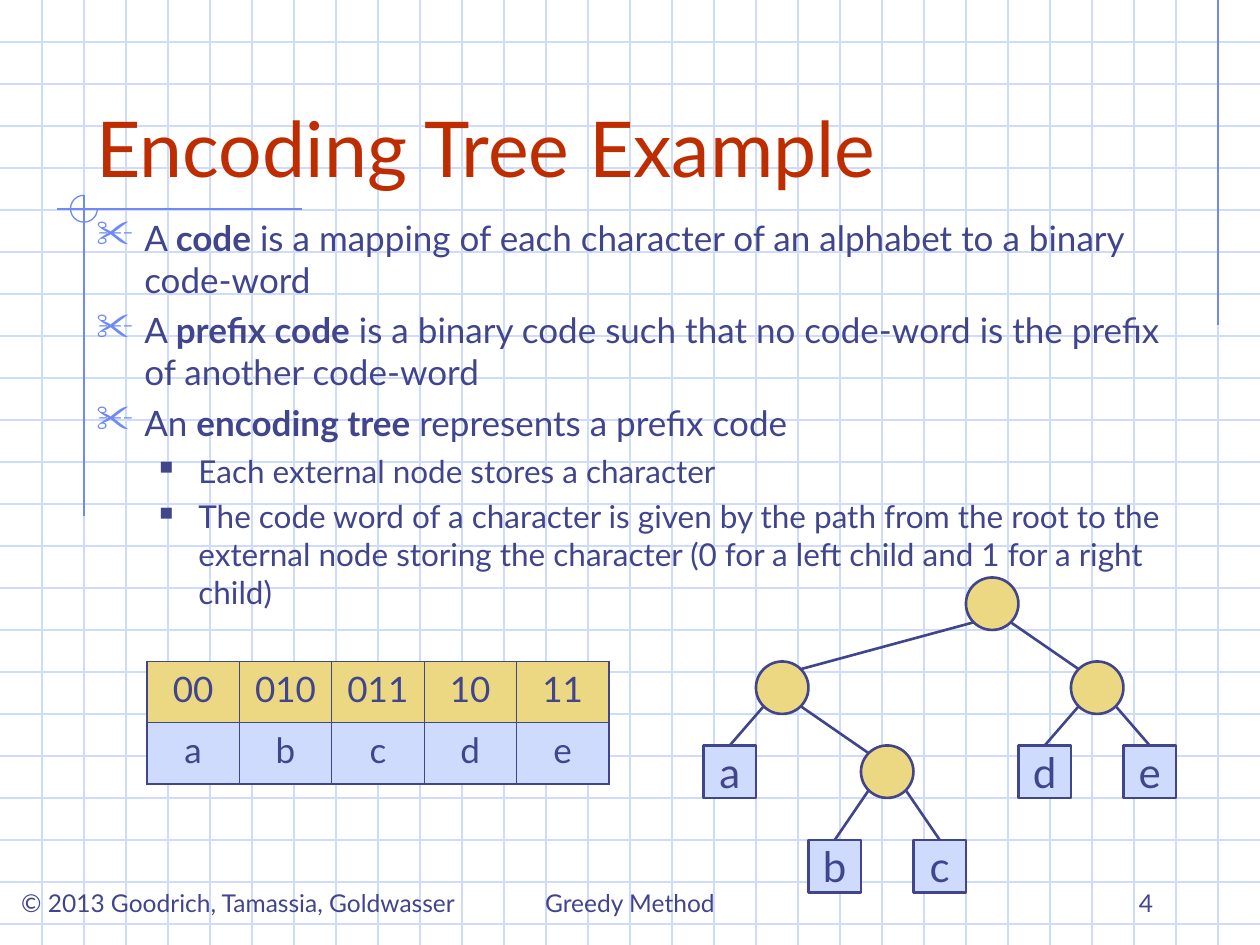
from dataclasses import dataclass
from math import sqrt

from lxml import etree
from pptx import Presentation
from pptx.dml.color import RGBColor
from pptx.enum.shapes import MSO_CONNECTOR, MSO_SHAPE
from pptx.enum.text import MSO_ANCHOR, PP_ALIGN
from pptx.oxml.ns import qn
from pptx.util import Inches, Pt

STRAIGHT = MSO_CONNECTOR.STRAIGHT
OVAL, RECTANGLE, ARC = MSO_SHAPE.OVAL, MSO_SHAPE.RECTANGLE, MSO_SHAPE.ARC
LEFT, CENTER, RIGHT = PP_ALIGN.LEFT, PP_ALIGN.CENTER, PP_ALIGN.RIGHT
TOP, MIDDLE, BOTTOM = MSO_ANCHOR.TOP, MSO_ANCHOR.MIDDLE, MSO_ANCHOR.BOTTOM

COLUMNS, ROWS, CELLS_PER_INCH = 120, 90, 12
PAPER_STEP = 4
NODE_SIZE = 5
OVAL_INSET = NODE_SIZE * (1 - sqrt(0.5)) / 2


@dataclass(frozen=True)
class Theme:
    font: str = "Lato"
    ink: str = "40458C"
    title: str = "BE2D00"
    accent: str = "6F89F7"
    pale: str = "CFDBFD"
    gold: str = "ECD882"
    title_size: float = 44
    node_size: float = 24
    body_size: float = 20
    detail_size: float = 18
    footer_size: float = 14
    thin: float = 0.75
    thick: float = 1.5
    table_inner: float = 0.45
    table_outer: float = 1.08


@dataclass(frozen=True)
class Box:
    left: float
    top: float
    width: float
    height: float

    def inside(self, left, top, width, height):
        return Box(self.left + left, self.top + top, width, height)

    def emu(self):
        return [cells(n) for n in (self.left, self.top, self.width, self.height)]


THEME = Theme()

POINTS = [
    (0, [("A ", False), ("code", True),
         (" is a mapping of each character of an alphabet to a binary code-word", False)]),
    (0, [("A ", False), ("prefix code", True),
         (" is a binary code such that no code-word is the prefix of another code-word", False)]),
    (0, [("An ", False), ("encoding tree", True), (" represents a prefix code", False)]),
    (1, [("Each external node stores a character", False)]),
    (1, [("The code word of a character is given by the path from the root to the external "
          "node storing the character (0 for a left child and 1 for a right child)", False)]),
]
BULLETS = [
    ("✂", THEME.accent, 110, 0.38, 0.38, 5, THEME.body_size),
    ("■", THEME.ink, 60, 0.81, 0.31, 4.5, THEME.detail_size),
]
CODES = {"00": "a", "010": "b", "011": "c", "10": "d", "11": "e"}
INNER_NODES = {"": (25, 0), "1": (35, 8), "0": (5, 8), "01": (15, 16)}
LEAF_NODES = {"00": (0, 16), "010": (10, 25), "011": (20, 25), "10": (30, 16), "11": (40, 16)}


def cells(count):
    return Inches(count / CELLS_PER_INCH)


def color(value):
    return RGBColor.from_string(value)


def add_run(paragraph, text, size, ink=THEME.ink, bold=False):
    run = paragraph.add_run()
    run.text = text
    run.font.name = THEME.font
    run.font.size = Pt(size)
    run.font.bold = bold
    run.font.color.rgb = color(ink)


def add_line(shapes, start, end, ink, width):
    line = shapes.add_connector(STRAIGHT, *(cells(n) for n in (*start, *end)))
    line.line.color.rgb = color(ink)
    line.line.width = Pt(width)
    etree.SubElement(line._element.spPr, qn("a:effectLst"))


def add_text_frame(slide, box, anchor, wrap=True):
    frame = slide.shapes.add_textbox(*box.emu()).text_frame
    frame.word_wrap = wrap
    frame.vertical_anchor = anchor
    return frame


def add_label(slide, box, text, size, ink=THEME.ink, align=LEFT, anchor=BOTTOM, wrap=True):
    paragraph = add_text_frame(slide, box, anchor, wrap).paragraphs[0]
    paragraph.alignment = align
    add_run(paragraph, text, size, ink)


def add_graph_paper(slide, box):
    shapes = slide.shapes.add_group_shape().shapes
    right, bottom = box.left + box.width, box.top + box.height
    for row in range(box.top + PAPER_STEP, bottom, PAPER_STEP):
        add_line(shapes, (box.left, row), (right, row), THEME.pale, THEME.thin)
    for column in range(box.left + PAPER_STEP, right, PAPER_STEP):
        add_line(shapes, (column, box.top), (column, bottom), THEME.pale, THEME.thin)


def add_margin_marks(slide, box):
    shapes = slide.shapes.add_group_shape().shapes
    for start, end in [((116, 0), (116, 31)), ((28.8, 19.9), (5.4, 19.9)), ((8, 18.6), (8, 49.1))]:
        add_line(shapes, (box.left + start[0], box.top + start[1]),
                 (box.left + end[0], box.top + end[1]), THEME.accent, THEME.thin)
    ring = shapes.add_shape(ARC, *box.inside(6.72, 18.6, 2.56, 2.56).emu())
    ring.adjustments[0], ring.adjustments[1] = 0, 162
    ring.shadow.inherit = False
    ring.fill.background()
    ring.line.color.rgb = color(THEME.accent)
    ring.line.width = Pt(THEME.thin)


def add_bullet(paragraph, mark, ink, percent, margin, hanging):
    properties = paragraph._p.get_or_add_pPr()
    properties.set("marL", str(Inches(margin)))
    properties.set("indent", str(-Inches(hanging)))
    bullet_color = etree.SubElement(properties, qn("a:buClr"))
    etree.SubElement(bullet_color, qn("a:srgbClr"), val=ink)
    etree.SubElement(properties, qn("a:buSzPct"), val=str(percent * 1000))
    etree.SubElement(properties, qn("a:buChar"), char=mark)


def add_points(slide, box):
    frame = add_text_frame(slide, box, TOP)
    for index, (level, runs) in enumerate(POINTS):
        paragraph = frame.add_paragraph() if index else frame.paragraphs[0]
        *bullet, space_before, size = BULLETS[level]
        paragraph.level = level
        add_bullet(paragraph, *bullet)
        paragraph.space_before = Pt(space_before if index else 0)
        for text, bold in runs:
            add_run(paragraph, text, size, bold=bold)


def add_node(shapes, kind, box, fill):
    node = shapes.add_shape(kind, *box.emu())
    node.shadow.inherit = False
    node.fill.solid()
    node.fill.fore_color.rgb = color(fill)
    node.line.color.rgb = color(THEME.ink)
    node.line.width = Pt(THEME.thick)
    return node


def add_encoding_tree(slide, box):
    shapes = slide.shapes.add_group_shape().shapes
    near, far = OVAL_INSET, NODE_SIZE - OVAL_INSET
    for place in INNER_NODES.values():
        add_node(shapes, OVAL, box.inside(*place, NODE_SIZE, NODE_SIZE), THEME.gold)
    for code, place in LEAF_NODES.items():
        leaf = add_node(shapes, RECTANGLE, box.inside(*place, NODE_SIZE, NODE_SIZE), THEME.pale)
        leaf.text_frame.word_wrap = False
        leaf.text_frame.vertical_anchor = MIDDLE
        paragraph = leaf.text_frame.paragraphs[0]
        paragraph.alignment = CENTER
        add_run(paragraph, CODES[code], THEME.node_size)
    for code, (column, row) in (INNER_NODES | LEAF_NODES).items():
        if not code:
            continue
        parent = INNER_NODES[code[:-1]]
        parent_side, child_side = (near, far) if code[-1] == "0" else (far, near)
        child = (child_side, near) if code in INNER_NODES else (NODE_SIZE / 2, 0)
        add_line(shapes, (box.left + parent[0] + parent_side, box.top + parent[1] + far),
                 (box.left + column + child[0], box.top + row + child[1]), THEME.ink, THEME.thick)


def add_borders(cell, outer_sides):
    properties = cell._tc.get_or_add_tcPr()
    for index, side in enumerate("LRTB"):
        width = THEME.table_outer if side in outer_sides else THEME.table_inner
        border = etree.Element(qn(f"a:ln{side}"), w=str(Pt(width)))
        fill = etree.SubElement(border, qn("a:solidFill"))
        etree.SubElement(fill, qn("a:srgbClr"), val=THEME.ink)
        properties.insert(index, border)


def add_code_table(slide, box):
    table = slide.shapes.add_table(2, len(CODES), *box.emu()).table
    table.first_row = table.horz_banding = False
    rows = [(CODES.keys(), THEME.gold, "T"), (CODES.values(), THEME.pale, "B")]
    for row, (texts, fill, edge) in enumerate(rows):
        for column, text in enumerate(texts):
            cell = table.cell(row, column)
            cell.fill.solid()
            cell.fill.fore_color.rgb = color(fill)
            paragraph = cell.text_frame.paragraphs[0]
            paragraph.alignment = CENTER
            add_run(paragraph, text, THEME.body_size)
            sides = {0: "L", len(CODES) - 1: "R"}.get(column, "")
            add_borders(cell, edge + sides)


def add_footer(slide, box):
    size = THEME.footer_size
    add_label(slide, box.inside(0, 2, 45.4, 4), "© 2013 Goodrich, Tamassia, Goldwasser", size,
              align=CENTER, anchor=TOP, wrap=False)
    add_label(slide, box.inside(41, 0, 38, 6), "Greedy Method", size, align=CENTER)
    add_label(slide, box.inside(86, 0, 25, 6), "4", size, align=RIGHT)


def main():
    presentation = Presentation()
    presentation.slide_width, presentation.slide_height = cells(COLUMNS), cells(ROWS)
    slide = presentation.slides.add_slide(presentation.slide_layouts[6])
    page = Box(0, 0, COLUMNS, ROWS)
    add_graph_paper(slide, page)
    add_margin_marks(slide, page)
    add_footer(slide, page.inside(0, 82, COLUMNS, 6))
    add_label(slide, page.inside(8, 4, 102, 15), "Encoding Tree Example", THEME.title_size, THEME.title)
    add_points(slide, page.inside(8, 20, 105, 39))
    add_encoding_tree(slide, page.inside(67, 55, 45, 30))
    add_code_table(slide, page.inside(14, 63, 44, 11.68))
    presentation.save("out.pptx")


if __name__ == "__main__":
    main()
